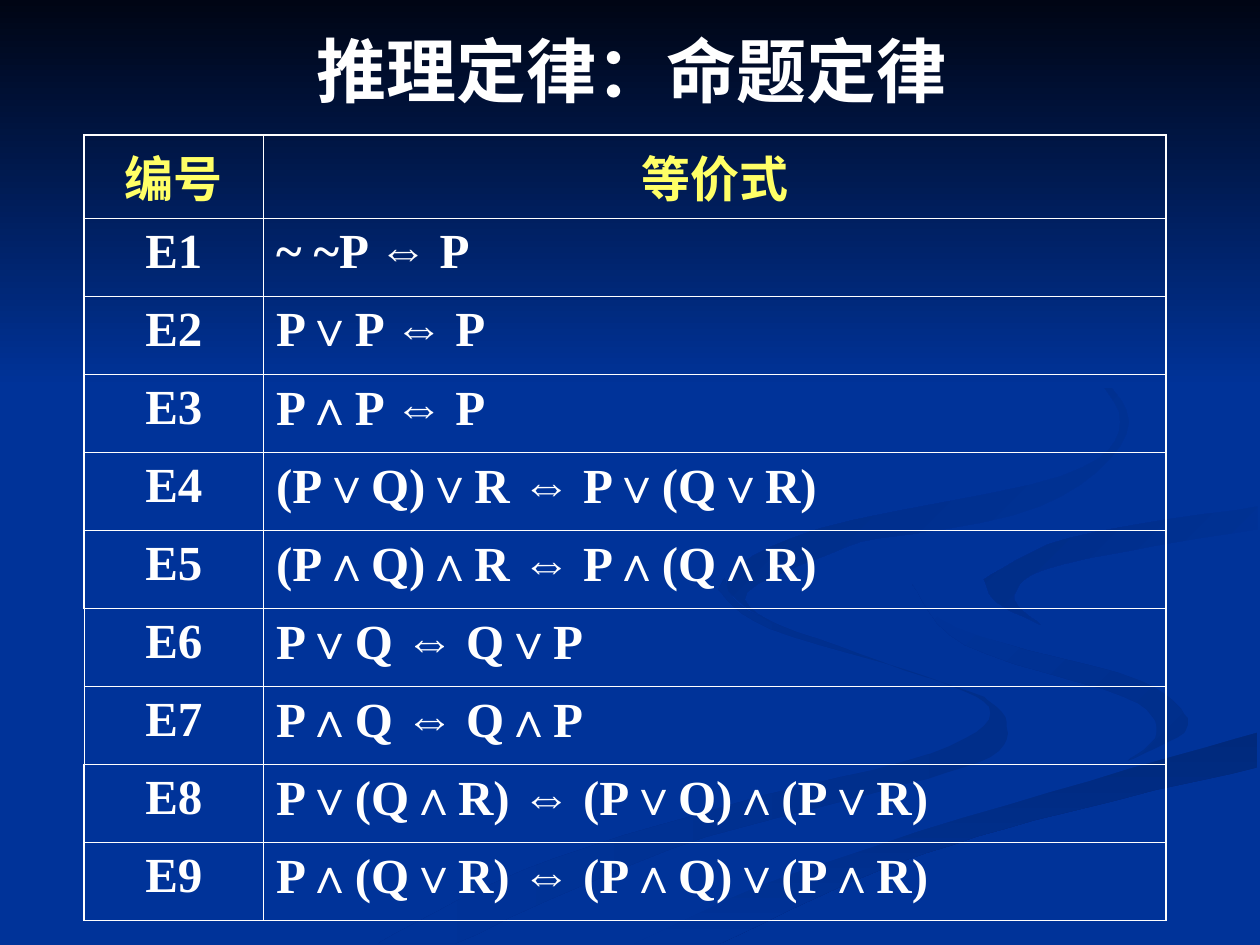
from dataclasses import dataclass

from lxml import etree
from pptx import Presentation
from pptx.dml.color import RGBColor
from pptx.enum.shapes import MSO_SHAPE
from pptx.enum.text import MSO_ANCHOR, PP_ALIGN
from pptx.oxml.ns import qn
from pptx.util import Cm, Pt

LEFT, CENTER = PP_ALIGN.LEFT, PP_ALIGN.CENTER
MIDDLE = MSO_ANCHOR.MIDDLE
RECT = MSO_SHAPE.RECTANGLE
TITLE_ONLY = 5
UNIT = Cm(0.0254)
STEPS = 6
ARROW = "⇔"


@dataclass(frozen=True)
class Theme:
    back: str = "003399"
    night: str = "000514"
    white: str = "FFFFFF"
    yellow: str = "FFFF66"
    serif: str = "Times New Roman"
    sans: str = "Arial"
    title: int = 40
    body: int = 28
    thin: float = 0.45
    thick: float = 1.08


@dataclass(frozen=True)
class Wave:
    start: str
    end: str
    angle: int
    curves: tuple


THEME = Theme()

WAVES = (
    Wave("002E8A", THEME.back, 180, (
        ((781, 553), (682, 519), (594, 485), (575, 459)),
        ((570, 468), (611, 499), (741, 539), (786, 566), (739, 598), (579, 639), (417, 690), (300, 749)),
        ((361, 749), (532, 674), (699, 628), (786, 601), (799, 573), (781, 553)))),
    Wave("002E8A", THEME.back, 225, (
        ((943, 570), (905, 540), (774, 503), (724, 464)),
        ((724, 464), (766, 512), (892, 553), (918, 581), (894, 605)),
        ((894, 605), (941, 581), (943, 570)))),
    Wave("00297C", THEME.back, 90, (
        ((571, 749), (695, 692), (821, 651), (998, 609)),
        ((998, 581), (831, 629), (630, 693), (503, 749)))),
    Wave(THEME.back, THEME.back, 0, (
        ((725, 464), (759, 498), (905, 540), (943, 575), (892, 605), (704, 655), (477, 749)),
        ((503, 749), (630, 693), (832, 629), (999, 581)),
        ((999, 538), (848, 503), (781, 463), (850, 427), (999, 402)),
        ((999, 387), (808, 417), (725, 464)))),
    Wave(THEME.back, "002C85", 225, (
        ((781, 460), (791, 478), (826, 496)),
        ((826, 496), (805, 472), (843, 448), (998, 420)),
        ((998, 402), (849, 427), (781, 460)))),
    Wave(THEME.back, "002B81", 225, (
        ((683, 430), (825, 402), (894, 344), (864, 291), (762, 233)),
        ((762, 233), (846, 279), (889, 335), (842, 378), (649, 420), (577, 462), (622, 500)),
        ((622, 500), (593, 470), (683, 430)))),
)

LAWS = (
    "~ ~P ⇔ P",
    "P∨P ⇔ P",
    "P∧P ⇔ P",
    "(P∨Q)∨R ⇔ P∨(Q∨R)",
    "(P∧Q)∧R ⇔ P∧(Q∧R)",
    "P∨Q ⇔ Q∨P",
    "P∧Q ⇔ Q∧P",
    "P∨(Q∧R) ⇔ (P∨Q)∧(P∨R)",
    "P∧(Q∨R) ⇔ (P∧Q)∨(P∧R)",
)
LIGHT_ROWS = (6, 7)


def write(frame, words: str, *, size: int = THEME.body, color: str = THEME.white, align=LEFT) -> None:
    para = frame.paragraphs[0]
    para.alignment = align
    for part in words.partition(ARROW):
        if part:
            run = para.add_run()
            run.text = part
            font = run.font
            font.name = THEME.sans if part == ARROW else THEME.serif
            font.size = Pt(size)
            font.bold = True
            font.color.rgb = RGBColor.from_string(color)


def paint(shape, start: str, end: str, angle: int) -> None:
    shape.shadow.inherit = False
    shape.line.fill.background()
    if start == end:
        shape.fill.solid()
        shape.fill.fore_color.rgb = RGBColor.from_string(start)
        return
    shape.fill.gradient()
    shape.fill.gradient_angle = 360 - angle
    for stop, color in zip(shape.fill.gradient_stops, (start, end)):
        stop.color.rgb = RGBColor.from_string(color)


def blend(a: float, b: float, c: float, d: float, t: float) -> float:
    return b + t / 2 * (c - a + t * (2 * a - 5 * b + 4 * c - d + t * (3 * (b - c) + d - a)))


def smooth(knots: tuple) -> list:
    ends = (knots[0], *knots, knots[-1])
    dots = [
        tuple(blend(*axis, step / STEPS) for axis in zip(*ends[i:i + 4]))
        for i in range(len(knots) - 1)
        for step in range(STEPS)
    ]
    return dots + [knots[-1]]


def draw_wave(shapes, wave: Wave) -> None:
    dots = [dot for curve in wave.curves for dot in smooth(curve)]
    pen = shapes.build_freeform(*dots[0], scale=UNIT)
    pen.add_line_segments(dots[1:], close=True)
    paint(pen.convert_to_shape(), wave.start, wave.end, wave.angle)


def edge(cell, heavy: dict) -> None:
    props = cell._tc.get_or_add_tcPr()
    for side in "LRTB":
        width = THEME.thick if heavy[side] else THEME.thin
        line = etree.SubElement(props, qn(f"a:ln{side}"), w=str(Pt(width)))
        fill = etree.SubElement(line, qn("a:solidFill"))
        etree.SubElement(fill, qn("a:srgbClr"), val=THEME.white)
    cell.fill.background()


def draw_table(shapes) -> None:
    rows = [("编号", "等价式")] + [(f"E{i}", law) for i, law in enumerate(LAWS, 1)]
    last = len(rows) - 1
    table = shapes.add_table(len(rows), 2, Cm(1.7), Cm(2.72), Cm(21.8), Cm(15.73)).table
    table.first_row = table.horz_banding = False
    for col, width in zip(table.columns, (3.61, 18.19)):
        col.width = Cm(width)
    for i, row in enumerate(rows):
        for j, words in enumerate(row):
            cell = table.cell(i, j)
            edge(cell, {"L": j == 0 and i not in LIGHT_ROWS, "R": j == 1,
                        "T": i == 0, "B": i == last})
            write(cell.text_frame, words, color=THEME.white if i else THEME.yellow,
                  align=LEFT if i and j else CENTER)


def main() -> None:
    deck = Presentation()
    deck.slide_width, deck.slide_height = Cm(25.4), Cm(19.05)
    slide = deck.slides.add_slide(deck.slide_layouts[TITLE_ONLY])
    slide.background.fill.solid()
    slide.background.fill.fore_color.rgb = RGBColor.from_string(THEME.back)
    shapes = slide.shapes
    group = shapes.add_group_shape()
    for wave in WAVES:
        draw_wave(group.shapes, wave)
    sky = group.shapes.add_shape(RECT, 0, 0, deck.slide_width, Cm(7.82))
    paint(sky, THEME.night, THEME.back, 90)
    title = shapes.title
    title.left, title.top, title.width, title.height = Cm(1.3), Cm(0.53), Cm(22.86), Cm(1.75)
    title.text_frame.vertical_anchor = MIDDLE
    write(title.text_frame, "推理定律：命题定律", size=THEME.title, align=CENTER)
    group._element.addnext(title._element)
    draw_table(shapes)
    deck.save("out.pptx")


if __name__ == "__main__":
    main()
